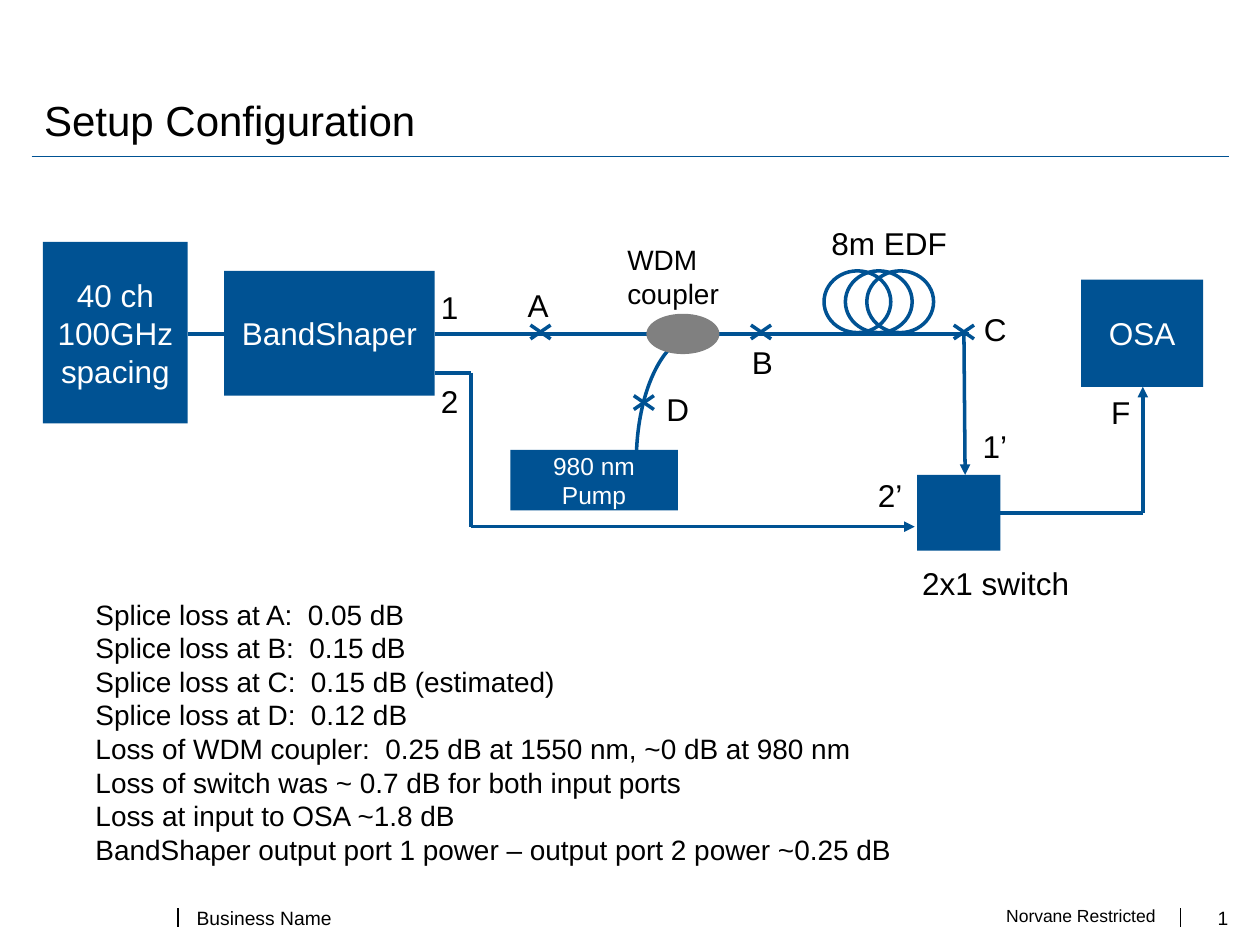
import pptx
import pptx.util
import pptx.dml.color
import pptx.enum.shapes
import pptx.enum.text
import pptx.oxml
import pptx.oxml.ns

Inches, Pt = pptx.util.Inches, pptx.util.Pt
RGBColor = pptx.dml.color.RGBColor
MSO_SHAPE = pptx.enum.shapes.MSO_SHAPE
PP_ALIGN = pptx.enum.text.PP_ALIGN
MSO_ANCHOR = pptx.enum.text.MSO_ANCHOR

BLUE = RGBColor(0x00, 0x52, 0x93)
GRAY = RGBColor(0x80, 0x80, 0x80)
BLACK = RGBColor(0, 0, 0)
WHITE = RGBColor(255, 255, 255)
NS = pptx.oxml.ns.nsdecls("a")

prs = pptx.Presentation()
prs.slide_width, prs.slide_height = Inches(10), Inches(7.5)
s = prs.slides.add_slide(prs.slide_layouts[5])


def set_text(sp, text, size, color=BLACK, align=PP_ALIGN.LEFT, anchor=MSO_ANCHOR.TOP, wrap=True):
    tf = sp.text_frame
    tf.text = text
    tf.word_wrap = wrap
    tf.auto_size = pptx.enum.text.MSO_AUTO_SIZE.NONE
    tf.vertical_anchor = anchor
    for p in tf.paragraphs:
        p.alignment = align
        for r in p.runs:
            r.font.name, r.font.size, r.font.color.rgb = "Arial", Pt(size), color


def add_line(x1, y1, x2, y2, color=BLUE, width=2, arrow=False):
    c = s.shapes.add_connector(pptx.enum.shapes.MSO_CONNECTOR.STRAIGHT,
                               Inches(x1), Inches(y1), Inches(x2), Inches(y2))
    c.line.color.rgb = color
    c.line.width = Pt(width)
    spPr = c._element.spPr
    if arrow:
        spPr.ln.append(pptx.oxml.parse_xml(f'<a:tailEnd {NS} type="triangle"/>'))
    spPr.append(pptx.oxml.parse_xml(f"<a:effectLst {NS}/>"))


# Title and rule
title = s.shapes.title
title.left, title.top, title.width, title.height = Inches(0.25), Inches(0.2), Inches(9.5), Inches(1)
set_text(title, "Setup Configuration", 24, anchor=MSO_ANCHOR.BOTTOM)
add_line(0.25, 1.24, 9.75, 1.24, width=0.75)

# Footer
for x in (1.41, 9.37):
    add_line(x, 7.21, x, 7.36, BLACK, 1)
for text, x, y, w, size, align in [
    ("Business Name", 1.56, 7.14, 3.38, 11, PP_ALIGN.LEFT),
    ("Norvane Restricted", 6.17, 7.12, 3, 10, PP_ALIGN.RIGHT),
    ("1", 9.24, 7.14, 0.51, 11, PP_ALIGN.RIGHT),
]:
    sp = s.shapes.add_textbox(Inches(x), Inches(y), Inches(w), Inches(0.29))
    set_text(sp, text, size, align=align, anchor=MSO_ANCHOR.MIDDLE)
    sp.text_frame.margin_left = sp.text_frame.margin_right = 0

# Fibre from the pump to the coupler: the upper left quarter of an ellipse
arc = s.shapes.add_shape(MSO_SHAPE.ARC, Inches(5.05), Inches(2.65), Inches(0.99), Inches(2.03))
arc.adjustments[0], arc.adjustments[1] = 108, 162
arc.fill.background()
arc.line.color.rgb = BLUE
arc.line.width = Pt(2)
arc.shadow.inherit = False

# Signal paths
for x1, y1, x2, y2, arrow in [
    (1.49, 2.65, 1.78, 2.65, False),
    (3.45, 2.65, 7.69, 2.65, False),
    (7.65, 2.63, 7.66, 3.77, True),
    (3.45, 2.96, 3.74, 2.96, False),
    (3.74, 2.96, 3.74, 4.18, False),
    (3.74, 4.18, 7.26, 4.18, True),
    (7.94, 4.07, 9.07, 4.07, False),
    (9.07, 4.07, 9.07, 3.07, True),
]:
    add_line(x1, y1, x2, y2, arrow=arrow)

# Splice crosses
for x, y in [(4.21, 2.58), (5.96, 2.58), (7.57, 2.58), (5.03, 3.14)]:
    add_line(x, y, x + 0.16, y + 0.11)
    add_line(x + 0.16, y, x, y + 0.11)

# Fibre coil
for i in range(3):
    sp = s.shapes.add_shape(MSO_SHAPE.OVAL, Inches(6.54 + 0.17 * i), Inches(2.15),
                            Inches(0.53), Inches(0.49))
    sp.fill.background()
    sp.line.color.rgb = BLUE
    sp.line.width = Pt(2)
    sp.shadow.inherit = False

# Instruments, switch and coupler
for text, x, y, w, h, size, kind, color in [
    ("40 ch\n100GHz spacing", 0.34, 1.92, 1.15, 1.44, 18, MSO_SHAPE.RECTANGLE, BLUE),
    ("BandShaper", 1.78, 2.15, 1.67, 0.99, 18, MSO_SHAPE.RECTANGLE, BLUE),
    ("980 nm Pump", 4.05, 3.57, 1.33, 0.48, 14, MSO_SHAPE.RECTANGLE, BLUE),
    ("OSA", 8.58, 2.22, 0.97, 0.85, 18, MSO_SHAPE.RECTANGLE, BLUE),
    ("", 7.28, 3.77, 0.66, 0.6, 18, MSO_SHAPE.RECTANGLE, BLUE),
    ("", 5.13, 2.49, 0.58, 0.32, 18, MSO_SHAPE.OVAL, GRAY),
]:
    sp = s.shapes.add_shape(kind, Inches(x), Inches(y), Inches(w), Inches(h))
    sp.fill.solid()
    sp.fill.fore_color.rgb = color
    sp.line.fill.background()
    sp.shadow.inherit = False
    if text:
        set_text(sp, text, size, WHITE, PP_ALIGN.CENTER, MSO_ANCHOR.MIDDLE)

# Labels
for text, x, y, w in [
    ("8m EDF", 6.5, 1.73, 1.13), ("2x1 switch", 7.22, 4.43, 1.48),
    ("A", 4.09, 2.22, 0.37), ("B", 5.87, 2.67, 0.37), ("C", 7.71, 2.41, 0.38),
    ("D", 5.19, 3.05, 0.39), ("F", 8.72, 3.07, 0.36),
    ("1", 3.4, 2.24, 0.34), ("2", 3.4, 2.98, 0.34),
    ("1’", 7.7, 3.34, 0.4), ("2’", 6.87, 3.73, 0.4),
]:
    sp = s.shapes.add_textbox(Inches(x), Inches(y), Inches(w), Inches(0.4))
    set_text(sp, text, 18, wrap=False)
sp = s.shapes.add_textbox(Inches(4.88), Inches(1.88), Inches(1.25), Inches(0.64))
set_text(sp, "WDM coupler", 16)

# Loss budget
losses = [
    "Splice loss at A:  0.05 dB",
    "Splice loss at B:  0.15 dB",
    "Splice loss at C:  0.15 dB (estimated)",
    "Splice loss at D:  0.12 dB",
    "Loss of WDM coupler:  0.25 dB at 1550 nm, ~0 dB at 980 nm",
    "Loss of switch was ~ 0.7 dB for both input ports",
    "Loss at input to OSA ~1.8 dB",
    "BandShaper output port 1 power – output port 2 power ~0.25 dB",
]
sp = s.shapes.add_textbox(Inches(0.66), Inches(4.69), Inches(8.53), Inches(2.26))
set_text(sp, "\n".join(losses), 16)

prs.save("out.pptx")
